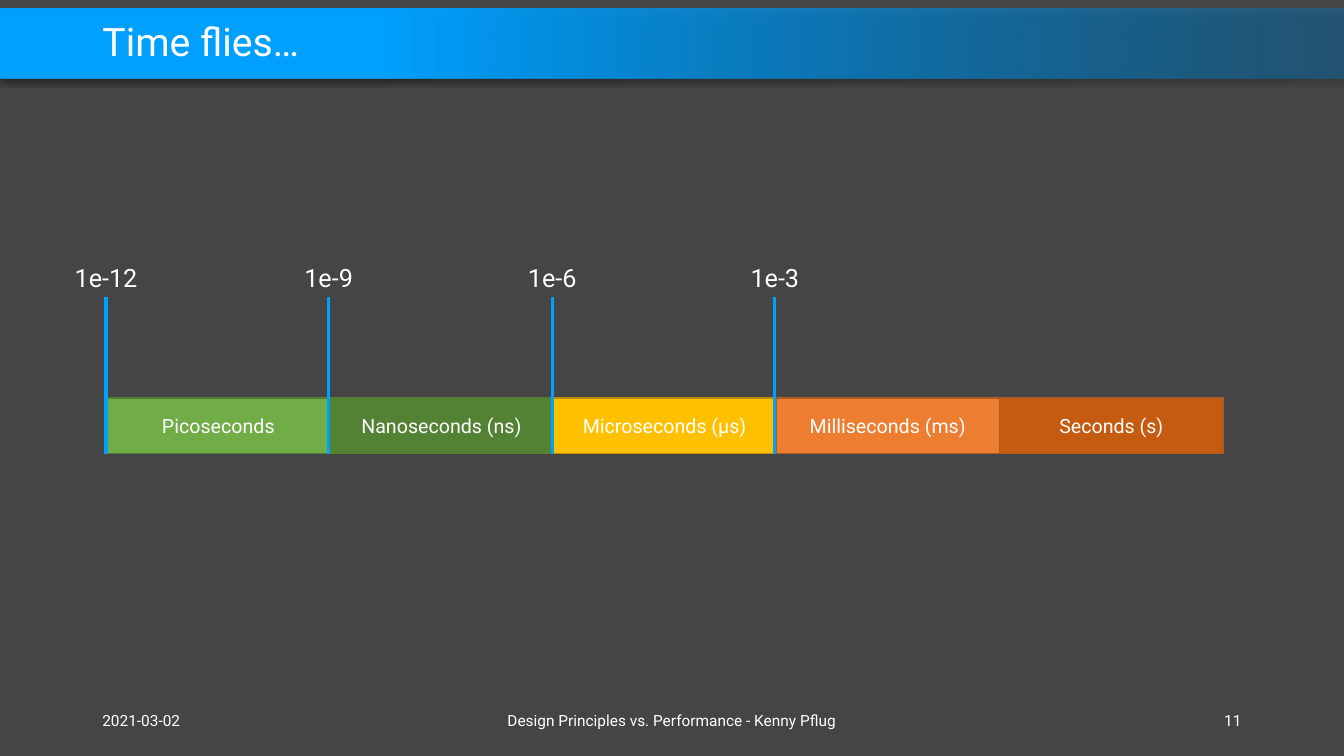
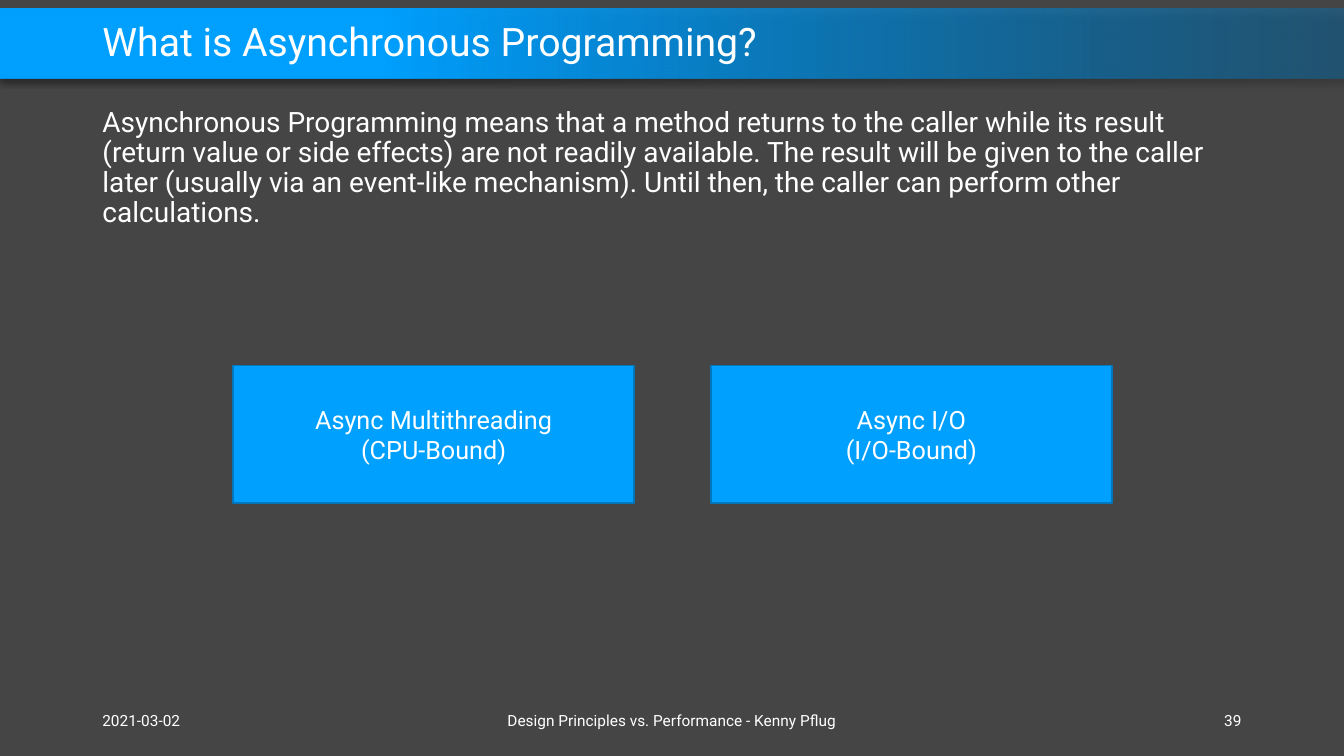
"""Build two slides on time scales and asynchronous programming."""
from dataclasses import dataclass

from lxml import etree
from pptx import Presentation
from pptx import util as u
from pptx.dml.color import RGBColor
from pptx.enum import shapes, text
from pptx.oxml.ns import qn
from pptx.presentation import Presentation as Deck
from pptx.shapes.autoshape import Shape
from pptx.slide import Slide
from pptx.text.text import TextFrame

EMU_PER_PX = 9525
LEFT, CENTER, RIGHT = text.PP_ALIGN.LEFT, text.PP_ALIGN.CENTER, text.PP_ALIGN.RIGHT
TOP, MIDDLE = text.MSO_ANCHOR.TOP, text.MSO_ANCHOR.MIDDLE


@dataclass(frozen=True)
class Theme:
    """Colours, font and type sizes of the deck."""
    font: str = "Roboto"
    ink: str = "FFFFFF"
    ground: str = "454545"
    accent: str = "00A0FF"
    accent_edge: str = "0076BD"
    band_fade: str = "0078BF"
    shadow: str = "000000"
    title: int = 28
    body: int = 20
    label: int = 18
    segment: int = 14
    footer: int = 11


@dataclass(frozen=True)
class Rect:
    """Place and size in px."""
    left: int
    top: int
    width: int
    height: int

    def emu(self) -> tuple[int, ...]:
        """Return the four lengths in EMU."""
        return tuple(map(px, (self.left, self.top, self.width, self.height)))


@dataclass(frozen=True)
class TextStyle:
    """Size and placing of a text."""
    size: int
    align: text.PP_ALIGN = CENTER
    anchor: text.MSO_ANCHOR = MIDDLE
    spacing: float = 1.0
    before: int = 0


@dataclass(frozen=True)
class Segment:
    """One unit on the time scale, with the mark at its start."""
    name: str
    fill: str
    edge: str
    mark: str = ""


THEME = Theme()
PAGE = Rect(0, 0, 1280, 720)
BAND = Rect(0, 8, 1280, 67)
TITLE = Rect(88, 15, 1104, 53)
BODY = Rect(88, 98, 1104, 560)
SCALE = Rect(102, 379, 1063, 53)
MARK_TOP = 283
MARK_LABEL = Rect(0, 245, 82, 38)
CHOICE = Rect(222, 348, 382, 131)
CHOICE_PITCH = 455

TITLE_STYLE = TextStyle(THEME.title, LEFT, spacing=0.9)
BODY_STYLE = TextStyle(THEME.body, LEFT, TOP, 0.9, 10)
LABEL_STYLE = TextStyle(THEME.label)
SEGMENT_STYLE = TextStyle(THEME.segment)

DATE = "2021-03-02"
TALK = "Design Principles vs. Performance - Kenny Pflug"
SEGMENTS = (
    Segment("Picoseconds", "70AD47", "538035", "1e-12"),
    Segment("Nanoseconds (ns)", "548235", "538035", "1e-9"),
    Segment("Microseconds (µs)", "FFC000", "BD8E00", "1e-6"),
    Segment("Milliseconds (ms)", "ED7D31", "AF5C24", "1e-3"),
    Segment("Seconds (s)", "C55A11", "AF5C24"),
)
DEFINITION = (
    "Asynchronous Programming means that a method returns to the caller while its result "
    "(return value or side effects) are not readily available. The result will be given to "
    "the caller later (usually via an event-like mechanism). Until then, the caller can "
    "perform other calculations."
)
CHOICES = ("Async Multithreading\n(CPU-Bound)", "Async I/O\n(I/O-Bound)")


def px(length: int) -> int:
    """Turn px into EMU."""
    return u.Emu(length * EMU_PER_PX)


def color(code: str) -> RGBColor:
    """Turn a hex code into a colour."""
    return RGBColor.from_string(code)


def write(frame: TextFrame, words: str, style: TextStyle) -> None:
    """Fill a frame with one paragraph, run by run."""
    frame.word_wrap = True
    frame.auto_size = text.MSO_AUTO_SIZE.NONE
    frame.vertical_anchor = style.anchor
    para = frame.paragraphs[0]
    para.alignment = style.align
    para.line_spacing = style.spacing
    para.space_before = u.Pt(style.before)
    for index, line in enumerate(words.split("\n")):
        if index:
            para.add_line_break()
        span = para.add_run()
        span.text = line
        span.font.name = THEME.font
        span.font.size = u.Pt(style.size)
        span.font.color.rgb = color(THEME.ink)


def add_label(page: Slide, place: Rect, words: str, style: TextStyle) -> None:
    """Add a text box."""
    box = page.shapes.add_textbox(*place.emu())
    write(box.text_frame, words, style)


def add_box(page: Slide, place: Rect, fill: str, edge: str = "") -> Shape:
    """Add a flat rectangle, outlined if an edge colour is given."""
    box = page.shapes.add_shape(shapes.MSO_SHAPE.RECTANGLE, *place.emu())
    box.shadow.inherit = False
    box.fill.solid()
    box.fill.fore_color.rgb = color(fill)
    if edge:
        box.line.color.rgb = color(edge)
        box.line.width = u.Pt(1)
    else:
        box.line.fill.background()
    return box


def add_mark(page: Slide, x: int) -> None:
    """Add an upright line from the foot of the time scale."""
    ends = map(px, (x, SCALE.top + SCALE.height, x, MARK_TOP))
    line = page.shapes.add_connector(shapes.MSO_CONNECTOR.STRAIGHT, *ends)
    line.line.color.rgb = color(THEME.accent)
    line.line.width = u.Pt(2.25)
    etree.SubElement(line.element.spPr, qn("a:effectLst"))


def set_alpha(parent: etree._Element, percent: int) -> None:
    """Give a colour element an opacity."""
    etree.SubElement(parent, qn("a:alpha"), val=str(percent * 1000))


def dress_master(deck: Deck, page: Slide) -> None:
    """Put the ground and the shaded title band on the slide master."""
    master = deck.slide_master
    master.background.fill.solid()
    master.background.fill.fore_color.rgb = color(THEME.ground)
    band = add_box(page, BAND, THEME.accent)
    band.fill.gradient()
    band.fill.gradient_angle = 180
    stops = ((0, THEME.band_fade), (0.72, THEME.accent))
    for stop, (position, code) in zip(band.fill.gradient_stops, stops):
        stop.position = position
        stop.color.rgb = color(code)
    properties = band.element.spPr
    set_alpha(next(properties.iter(qn("a:srgbClr"))), 40)
    shadow = etree.SubElement(
        properties.find(qn("a:effectLst")), qn("a:outerShdw"),
        blurRad=str(u.Pt(4)), dist=str(u.Pt(3)), dir="5400000", algn="t", rotWithShape="0",
    )
    set_alpha(etree.SubElement(shadow, qn("a:srgbClr"), val=THEME.shadow), 40)
    master.shapes.element.insert(2, band.element)


def fill_placeholder(holder: Shape, place: Rect, words: str, style: TextStyle) -> None:
    """Move a placeholder and write unbulleted text in it."""
    holder.left, holder.top, holder.width, holder.height = place.emu()
    write(holder.text_frame, words, style)
    properties = holder.text_frame.paragraphs[0]._p.get_or_add_pPr()
    properties.set("marL", "0")
    properties.set("indent", "0")
    etree.SubElement(properties, qn("a:buNone"))


def add_page(deck: Deck, layout: str, title: str, number: int) -> Slide:
    """Add a slide with its title and footer."""
    page = deck.slides.add_slide(deck.slide_layouts.get_by_name(layout))
    fill_placeholder(page.shapes.title, TITLE, title, TITLE_STYLE)
    footers = (
        (88, 288, LEFT, DATE),
        (424, 432, CENTER, TALK),
        (904, 288, RIGHT, str(number)),
    )
    for left, width, align, words in footers:
        add_label(page, Rect(left, 667, width, 38), words, TextStyle(THEME.footer, align))
    return page


def draw_time_scale(page: Slide) -> None:
    """Draw the bar of time units, then the marks above it."""
    count = len(SEGMENTS)
    edges = [SCALE.left + SCALE.width * index // count for index in range(count + 1)]
    for segment, left, right in zip(SEGMENTS, edges, edges[1:]):
        place = Rect(left, SCALE.top, right - left, SCALE.height)
        box = add_box(page, place, segment.fill, segment.edge)
        write(box.text_frame, segment.name, SEGMENT_STYLE)
    for segment, x in zip(SEGMENTS, edges):
        if segment.mark:
            add_mark(page, x - 1)
            place = Rect(x - 1 - MARK_LABEL.width // 2, MARK_LABEL.top,
                         MARK_LABEL.width, MARK_LABEL.height)
            add_label(page, place, segment.mark, LABEL_STYLE)


def draw_choices(page: Slide) -> None:
    """Draw the kinds of asynchronous programming side by side."""
    for index, words in enumerate(CHOICES):
        place = Rect(CHOICE.left + index * CHOICE_PITCH, CHOICE.top, CHOICE.width, CHOICE.height)
        box = add_box(page, place, THEME.accent, THEME.accent_edge)
        write(box.text_frame, words, LABEL_STYLE)


def main() -> None:
    """Build and save the deck."""
    deck = Presentation()
    deck.slide_width, deck.slide_height = px(PAGE.width), px(PAGE.height)
    time_page = add_page(deck, "Title Only", "Time flies…", 11)
    dress_master(deck, time_page)
    draw_time_scale(time_page)
    async_page = add_page(deck, "Title and Content", "What is Asynchronous Programming?", 39)
    fill_placeholder(async_page.placeholders[1], BODY, DEFINITION, BODY_STYLE)
    draw_choices(async_page)
    deck.save("out.pptx")


if __name__ == "__main__":
    main()
